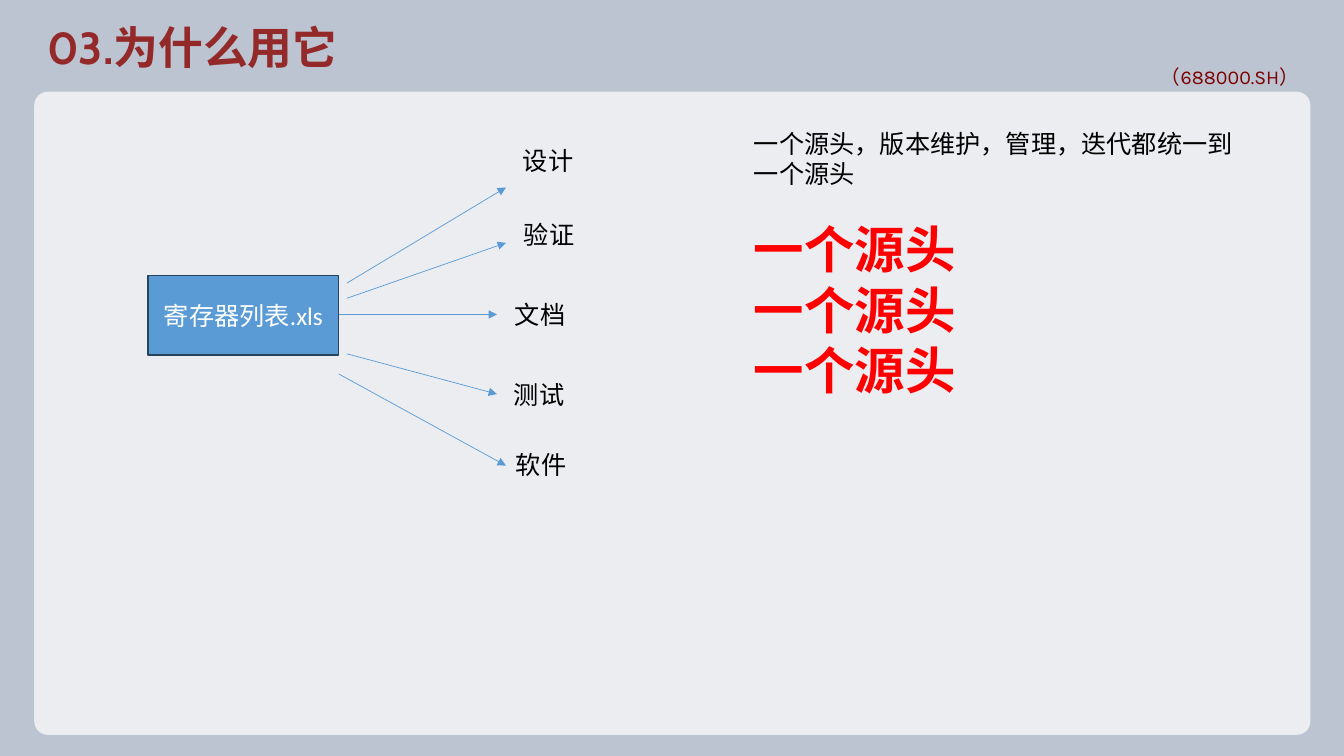
"""Build the slide that explains why one register list feeds every team."""
from dataclasses import dataclass

from lxml.etree import SubElement
from pptx import Presentation
from pptx.dml.color import RGBColor as Color
from pptx.enum.shapes import MSO_CONNECTOR as Connector, MSO_SHAPE as Preset
from pptx.enum.text import MSO_ANCHOR as Anchor, MSO_AUTO_SIZE as AutoSize, PP_ALIGN as Align
from pptx.oxml.ns import qn
from pptx.util import Pt


@dataclass(frozen=True)
class Theme:
    """Colours, fonts and type sizes of the slide."""
    background: str = "BCC3D1"
    panel: str = "FFFFFF"
    title: str = "932929"
    ticker: str = "7B0100"
    blue: str = "5B9BD5"
    outline: str = "28445D"
    text: str = "000000"
    light: str = "FFFFFF"
    accent: str = "FF0000"
    title_font: str = "Cabin"
    ticker_font: str = "Karla"
    body_font: str = "Calibri"
    title_size: int = 32
    ticker_size: int = 14
    body_size: int = 18
    accent_size: int = 36


theme = Theme()


def write(shape, lines, anchor=Anchor.TOP, align=Align.LEFT):
    """Fill a shape with lines, each a text and its font values."""
    frame = shape.text_frame
    frame.word_wrap = True
    frame.auto_size = AutoSize.NONE
    frame.vertical_anchor = anchor
    for index, (text, values) in enumerate(lines):
        paragraph = frame.add_paragraph() if index else frame.paragraphs[0]
        paragraph.alignment = align
        run = paragraph.add_run()
        run.text = text
        for name, value in values.items():
            setattr(run.font, name, value)


def font(family, size, color, bold=False):
    """Return font setters and write the colour through a run's fill."""
    return {"name": family, "size": Pt(size), "bold": bold}, Color.from_string(color)


presentation = Presentation()
presentation.slide_width = Pt(960)
presentation.slide_height = Pt(540)
slide = presentation.slides.add_slide(presentation.slide_layouts[5])
slide.background.fill.solid()
slide.background.fill.fore_color.rgb = Color.from_string(theme.background)
shapes = slide.shapes

title = shapes.title
for name, value in {"left": 26.6, "top": 10.8, "width": 335.5, "height": 46.1}.items():
    setattr(title, name, Pt(value))

ticker = shapes.add_textbox(Pt(822.2), Pt(42.5), Pt(123.1), Pt(24.5))

panel = shapes.add_shape(Preset.ROUNDED_RECTANGLE, Pt(24.5), Pt(65.5), Pt(911.5), Pt(459.4))
panel.adjustments[0] = 0.021
panel.line.fill.background()

source = shapes.add_shape(Preset.RECTANGLE, Pt(105.8), Pt(196.6), Pt(136.1), Pt(56.9))
source.line.color.rgb = Color.from_string(theme.outline)
source.line.width = Pt(1)

for shape, fill in ((panel, theme.panel), (source, theme.blue)):
    shape.shadow.inherit = False
    shape.fill.solid()
    shape.fill.fore_color.rgb = Color.from_string(fill)
panel_color = panel.fill._xPr.find(qn("a:solidFill"))[0]
SubElement(panel_color, qn("a:alpha"), val="70000")

body_values, body_color = font(theme.body_font, theme.body_size, theme.text)
branches = [
    ("设计", 366.5, 100.1, (247.7, 202.3, 361.4, 133.9)),
    ("验证", 367.2, 153.4, (247.7, 213.1, 361.4, 173.5)),
    ("文档", 360.7, 210.2, (241.9, 224.6, 355, 224.6)),
    ("测试", 360, 267.1, (247.7, 252.7, 355, 281.5)),
    ("软件", 361.4, 317.5, (241.9, 267.1, 361.4, 332.6)),
]
colored = []
for text, left, top, ends in branches:
    arrow = shapes.add_connector(Connector.STRAIGHT, *map(Pt, ends))
    arrow.line.color.rgb = Color.from_string(theme.blue)
    arrow.line.width = Pt(0.5)
    SubElement(arrow.line._get_or_add_ln(), qn("a:tailEnd"), type="triangle")
    SubElement(arrow._element.spPr, qn("a:effectLst"))
    label = shapes.add_textbox(Pt(left), Pt(top), Pt(141.8), Pt(28.8))
    write(label, [(text, body_values)])
    colored.append((label, [body_color]))

title_values, title_color = font(theme.title_font, theme.title_size, theme.title, True)
write(title, [("03.为什么用它", title_values)])

ticker_values, ticker_color = font(theme.ticker_font, theme.ticker_size, theme.ticker)
write(ticker, [("（688000.SH）", ticker_values)], Anchor.BOTTOM, Align.JUSTIFY)

source_values, source_color = font(theme.body_font, theme.body_size, theme.light)
write(source, [("寄存器列表.xls", source_values)], Anchor.MIDDLE, Align.CENTER)

accent_values, accent_color = font(theme.body_font, theme.accent_size, theme.accent, True)
notes = shapes.add_textbox(Pt(531.4), Pt(87.8), Pt(368.6), Pt(203.8))
write(notes, [("一个源头，版本维护，管理，迭代都统一到一个源头", body_values)]
      + [("一个源头", accent_values)] * 3)
notes.text_frame.paragraphs[1].space_before = Pt(21.6)

colored += [(title, [title_color]), (ticker, [ticker_color]), (source, [source_color]),
            (notes, [body_color] + [accent_color] * 3)]
for shape, colors in colored:
    for paragraph, color in zip(shape.text_frame.paragraphs, colors):
        paragraph.runs[0].font.color.rgb = color

presentation.save("out.pptx")
